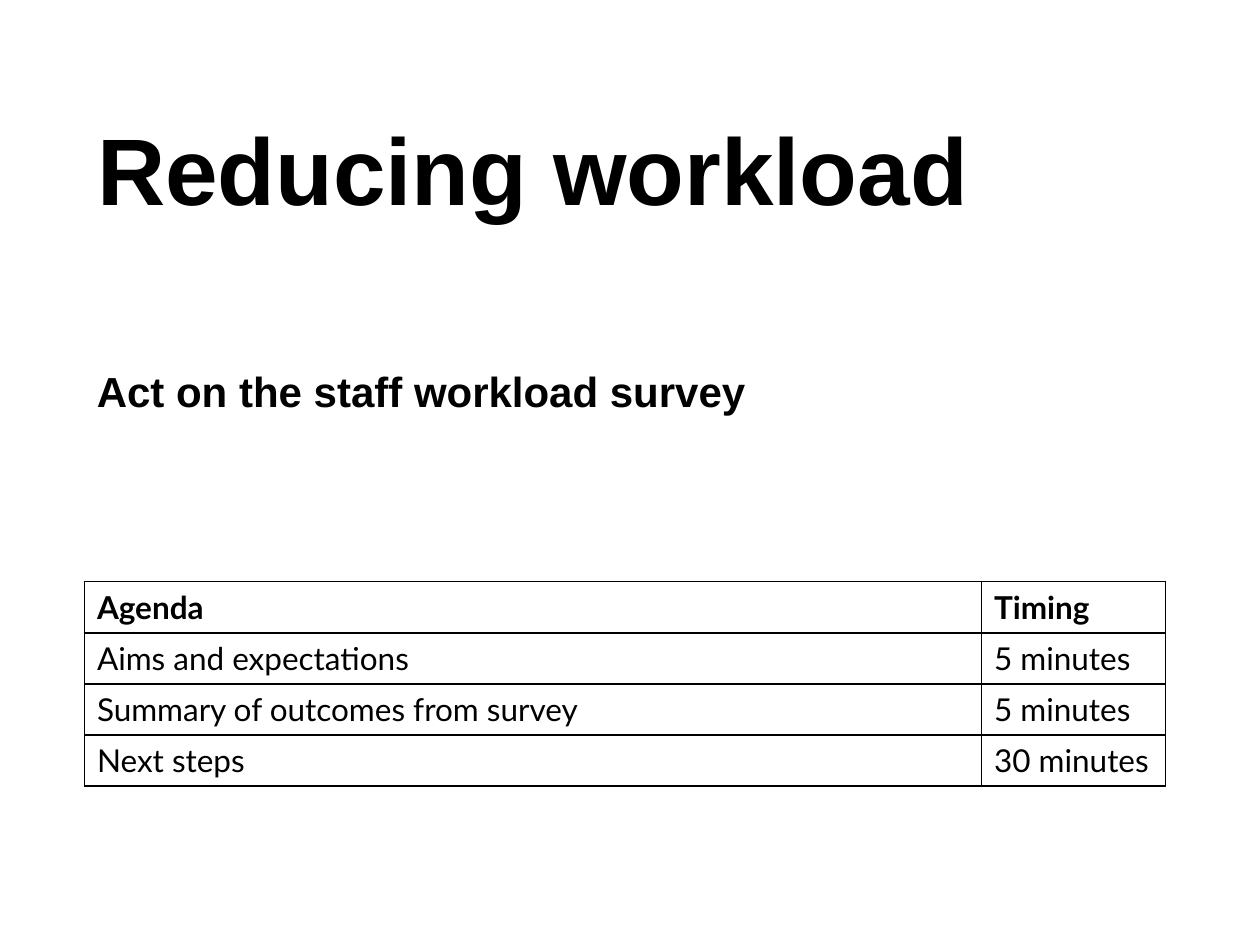
from lxml.etree import SubElement
from pptx import Presentation
from pptx.dml.color import RGBColor
from pptx.enum.text import MSO_ANCHOR, MSO_AUTO_SIZE, PP_ALIGN
from pptx.oxml.ns import qn
from pptx.util import Pt

TITLE = "Reducing workload"
TOPIC = "Act on the staff workload survey"
AGENDA = [
    ("Agenda", "Timing"),
    ("Aims and expectations", "5 minutes"),
    ("Summary of outcomes from survey", "5 minutes"),
    ("Next steps", "30 minutes"),
]

BLACK = RGBColor(0, 0, 0)
WHITE = RGBColor(255, 255, 255)
LEFT, WIDTH = 48.24, 612
COLS = (512.64, 105.12)
ROW = 29.2


def write(frame, text, font, size, bold):
    para = frame.paragraphs[0]
    para.alignment = PP_ALIGN.LEFT
    run = para.add_run()
    run.text = text
    run.font.name = font
    run.font.size = Pt(size)
    run.font.bold = bold
    run.font.color.rgb = BLACK


def border(cell):
    """Draw a thin black line on all four sides of the cell."""
    props = cell._tc.get_or_add_tcPr()
    for side in ("a:lnL", "a:lnR", "a:lnT", "a:lnB"):
        line = SubElement(props, qn(side), w=str(Pt(1)))
        fill = SubElement(line, qn("a:solidFill"))
        SubElement(fill, qn("a:srgbClr"), val=str(BLACK))


def add_title(slide):
    title = slide.shapes.title
    title.left, title.top = Pt(LEFT), Pt(46)
    title.width, title.height = Pt(WIDTH), Pt(100)
    title.text_frame.vertical_anchor = MSO_ANCHOR.MIDDLE
    write(title.text_frame, TITLE, "Arial", 54, True)


def add_topic(slide):
    box = slide.shapes.add_textbox(Pt(LEFT), Pt(205.2), Pt(WIDTH), Pt(36))
    frame = box.text_frame
    frame.word_wrap = True
    frame.auto_size = MSO_AUTO_SIZE.SHAPE_TO_FIT_TEXT
    write(frame, TOPIC, "Arial", 24, True)


def add_agenda(slide):
    table = slide.shapes.add_table(
        len(AGENDA), len(COLS), Pt(LEFT), Pt(332.4),
        Pt(sum(COLS)), Pt(ROW * len(AGENDA))).table
    table.horz_banding = False
    for col, width in zip(table.columns, COLS):
        col.width = Pt(width)
    for r, texts in enumerate(AGENDA):
        table.rows[r].height = Pt(ROW)
        for c, text in enumerate(texts):
            cell = table.cell(r, c)
            border(cell)
            cell.fill.solid()
            cell.fill.fore_color.rgb = WHITE
            write(cell.text_frame, text, "Lato", 18, r == 0)


def main():
    deck = Presentation()
    deck.slide_width, deck.slide_height = Pt(720), Pt(540)
    slide = deck.slides.add_slide(deck.slide_layouts[5])
    add_title(slide)
    add_topic(slide)
    add_agenda(slide)
    deck.save("out.pptx")


if __name__ == "__main__":
    main()
